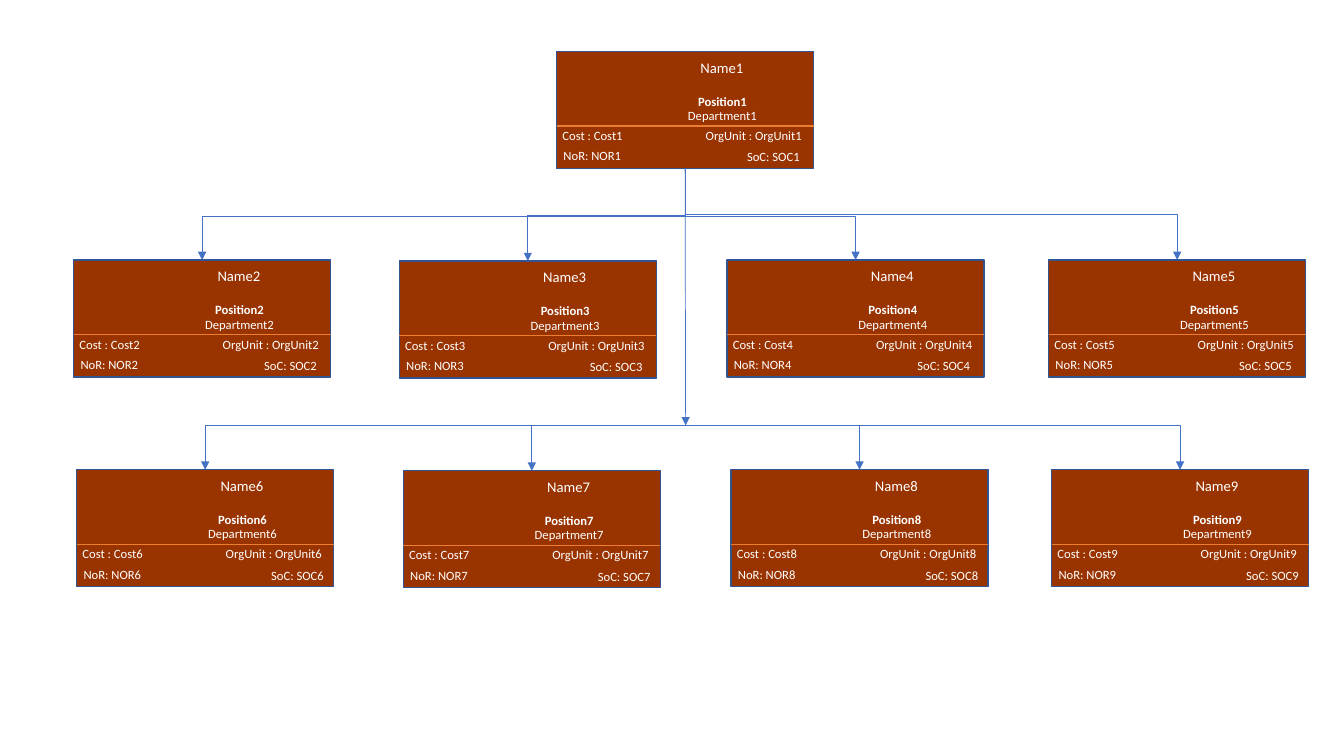
from dataclasses import dataclass
from lxml import etree
from pptx import Presentation
from pptx.dml.color import RGBColor
from pptx.enum.shapes import MSO_CONNECTOR, MSO_SHAPE
from pptx.enum.text import MSO_AUTO_SIZE, PP_ALIGN
from pptx.oxml.ns import qn
from pptx.util import Inches, Pt

RECTANGLE = MSO_SHAPE.RECTANGLE
STRAIGHT, ELBOW = MSO_CONNECTOR.STRAIGHT, MSO_CONNECTOR.ELBOW
LEFT, CENTER, RIGHT = PP_ALIGN.LEFT, PP_ALIGN.CENTER, PP_ALIGN.RIGHT
FIT_SHAPE = MSO_AUTO_SIZE.SHAPE_TO_FIT_TEXT
TOP_SIDE, BOTTOM_SIDE = 0, 2


@dataclass(frozen=True)
class Theme:
    font: str = "Calibri"
    text: str = "FFFFFF"
    card: str = "993300"
    border: str = "325491"
    divider: str = "ED7D31"
    arrow: str = "4472C4"
    name_size: float = 10.5
    body_size: float = 9
    line_width: float = 1
    arrow_width: float = 0.5


THEME = Theme()

HEAD = (1, 5.52, 0.51)
REPORTS = [
    (3, 3.96, 2.59, 0.512),
    (2, 0.73, 2.58, 0.524),
    (4, 7.21, 2.58, 0.524),
    (5, 10.4, 2.58, 0.5),
]
LOWER_REPORTS = [
    (7, 4, 4.67, 6.92),
    (6, 0.76, 4.66, 6.8),
    (8, 7.25, 4.66, 6.83),
    (9, 10.43, 4.66, 6.86),
]
FIELDS = [
    ("Name{}", 0.74, 0.02, 1.8, 0.28, CENTER, THEME.name_size, False),
    ("Position{}", 0.61, 0.37, 2.07, 0.25, CENTER, THEME.body_size, True),
    ("Department{}", 0.61, 0.51, 2.07, 0.25, CENTER, THEME.body_size, False),
    ("Cost : Cost{}", -0.04, 0.71, 1.23, 0.25, LEFT, THEME.body_size, False),
    ("OrgUnit : OrgUnit{}", 1.18, 0.71, 1.35, 0.25, RIGHT, THEME.body_size, False),
    ("NoR: NOR{}", -0.03, 0.91, 0.85, 0.25, LEFT, THEME.body_size, False),
]
SOC_FIELD = ("SoC: SOC{}", 0.92, 0.9, 0.25, RIGHT, THEME.body_size, False)
SOC_OFFSET, LOWER_SOC_OFFSET = 1.61, 1.65
CARD_WIDTH, CARD_HEIGHT = 2.55, 1.16
DIVIDER_OFFSET = 0.74
TRUNK_END = (6.8, 4.22)


def style_line(connector, color, width, arrow=False):
    connector.line.color.rgb = RGBColor.from_string(color)
    connector.line.width = Pt(width)
    properties = connector._element.spPr
    if arrow:
        line = properties.find(qn("a:ln"))
        etree.SubElement(line, qn("a:tailEnd"), type="triangle")
    etree.SubElement(properties, qn("a:effectLst"))


def add_field(shapes, number, left, top, field):
    pattern, x, y, width, height, align, size, bold = field
    box = shapes.add_textbox(
        Inches(left + x), Inches(top + y), Inches(width), Inches(height))
    frame = box.text_frame
    frame.word_wrap = True
    frame.auto_size = FIT_SHAPE
    para = frame.paragraphs[0]
    para.text = pattern.format(number)
    para.alignment = align
    para.font.name = THEME.font
    para.font.size = Pt(size)
    para.font.bold = bold
    para.font.color.rgb = RGBColor.from_string(THEME.text)


def add_card(page, number, left, top, soc_offset=SOC_OFFSET):
    shapes = page.shapes.add_group_shape().shapes
    card = shapes.add_shape(
        RECTANGLE, Inches(left), Inches(top),
        Inches(CARD_WIDTH), Inches(CARD_HEIGHT))
    card.shadow.inherit = False
    card.fill.solid()
    card.fill.fore_color.rgb = RGBColor.from_string(THEME.card)
    card.line.color.rgb = RGBColor.from_string(THEME.border)
    card.line.width = Pt(THEME.line_width)
    divider_top = Inches(top + DIVIDER_OFFSET)
    divider = shapes.add_connector(
        STRAIGHT, Inches(left), divider_top,
        Inches(left + CARD_WIDTH), divider_top)
    style_line(divider, THEME.divider, THEME.line_width)
    pattern, *rest = SOC_FIELD
    for field in FIELDS + [(pattern, soc_offset, *rest)]:
        add_field(shapes, number, left, top, field)
    return card


def add_report_arrow(page, head, card, bend):
    arrow = page.shapes.add_connector(ELBOW, 0, 0, 0, 0)
    arrow.begin_connect(head, BOTTOM_SIDE)
    arrow.end_connect(card, TOP_SIDE)
    start_x, start_y = head.left + head.width // 2, head.top + head.height
    end_x, end_y = card.left + card.width // 2, card.top
    drop, span = end_y - start_y, abs(end_x - start_x)
    arrow.left = (start_x + end_x - drop) // 2
    arrow.top = (start_y + end_y - span) // 2
    arrow.width, arrow.height = drop, span
    to_right = end_x > start_x
    properties = arrow._element.spPr
    transform = properties.find(qn("a:xfrm"))
    transform.set("rot", str((270 if to_right else 90) * 60000))
    transform.set("flipH", "1" if to_right else "0")
    adjustments = properties.find(qn("a:prstGeom")).find(qn("a:avLst"))
    etree.SubElement(adjustments, qn("a:gd"), name="adj1",
                     fmla=f"val {round(bend * 100000)}")
    style_line(arrow, THEME.arrow, THEME.arrow_width, arrow=True)


def add_lower_arrow(page, card, start_x):
    arrow = page.shapes.add_connector(
        ELBOW, Inches(start_x), Inches(TRUNK_END[1]),
        card.left + card.width // 2, card.top)
    arrow.end_connect(card, TOP_SIDE)
    arrow._element.spPr.find(qn("a:prstGeom")).set("prst", "bentConnector2")
    style_line(arrow, THEME.arrow, THEME.arrow_width, arrow=True)


def main():
    deck = Presentation()
    deck.slide_width, deck.slide_height = Inches(13.33), Inches(7.5)
    page = deck.slides.add_slide(deck.slide_layouts[6])

    head = add_card(page, *HEAD)
    reports = [(add_card(page, number, left, top), bend)
               for number, left, top, bend in REPORTS]
    for card, bend in reports:
        add_report_arrow(page, head, card, bend)

    lower_reports = [(add_card(page, number, left, top, LOWER_SOC_OFFSET), start_x)
                     for number, left, top, start_x in LOWER_REPORTS]
    for card, start_x in lower_reports:
        add_lower_arrow(page, card, start_x)

    trunk = page.shapes.add_connector(
        STRAIGHT, 0, 0, Inches(TRUNK_END[0]), Inches(TRUNK_END[1]))
    trunk.begin_connect(head, BOTTOM_SIDE)
    style_line(trunk, THEME.arrow, THEME.arrow_width, arrow=True)

    deck.save("out.pptx")


if __name__ == "__main__":
    main()
